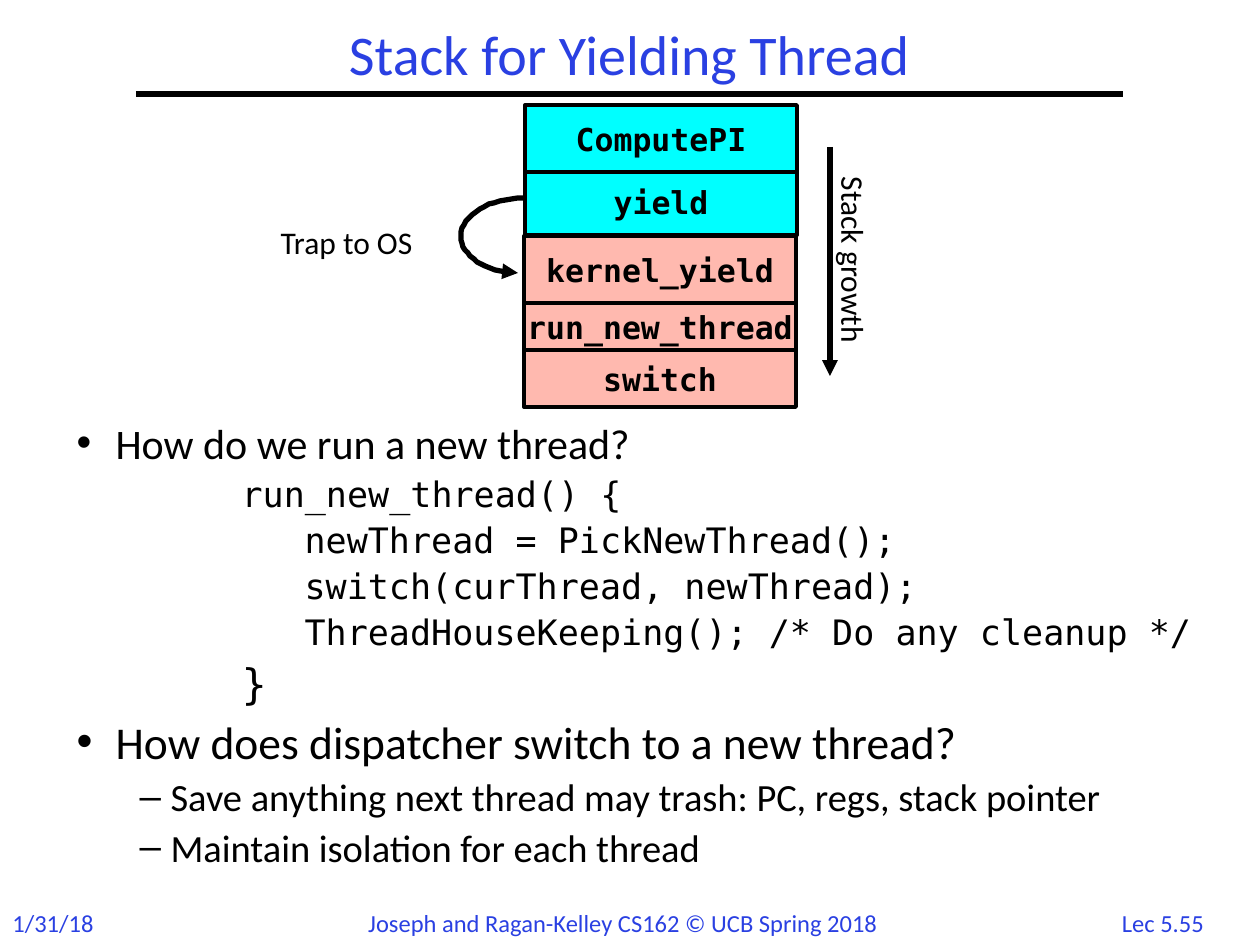
from dataclasses import dataclass

from pptx import Presentation
from pptx.dml.color import RGBColor
from pptx.enum.shapes import MSO_CONNECTOR, MSO_SHAPE
from pptx.enum.text import MSO_ANCHOR, MSO_AUTO_SIZE, PP_ALIGN
from pptx.oxml.ns import qn
from pptx.util import Emu, Pt
from lxml.etree import SubElement

PIXEL = 914400 // 126


@dataclass(frozen=True)
class Theme:
    """Colours, fonts and type sizes of the slide."""
    blue: str = "2A40E2"
    black: str = "000000"
    user_frame: str = "00FFFF"
    kernel_frame: str = "FFB9AF"
    sans: str = "Calibri"
    mono: str = "DejaVu Sans Mono"
    title: int = 32
    label: int = 18
    footer: int = 14
    rule: float = 3
    border: float = 2.25


THEME = Theme()

FRAMES = [  # name, left, top, height, fill
    ("yield", 525, 168, 67, THEME.user_frame),
    ("ComputePI", 525, 105, 67, THEME.user_frame),
    ("run_new_thread", 524, 303, 47, THEME.kernel_frame),
    ("kernel_yield", 524, 236, 67, THEME.kernel_frame),
    ("switch", 524, 350, 57, THEME.kernel_frame),
]

BODY = [  # text, font, size, level, left margin, hanging indent, bullet
    ("How do we run a new thread?", THEME.sans, 24, 0, 39, 39, "•"),
    ("run_new_thread() {", THEME.mono, 20, 0, 165, 0, None),
    ("newThread = PickNewThread();", THEME.mono, 20, 0, 228, 0, None),
    ("switch(curThread, newThread);", THEME.mono, 20, 0, 228, 0, None),
    ("ThreadHouseKeeping(); /* Do any cleanup */", THEME.mono, 20, 0, 228, 0, None),
    ("}", THEME.mono, 24, 0, 165, 0, None),
    ("How does dispatcher switch to a new thread?", THEME.sans, 26, 0, 39, 39, "•"),
    ("Save anything next thread may trash: PC, regs, stack pointer",
     THEME.sans, 22, 1, 94, 31, "–"),
    ("Maintain isolation for each thread", THEME.sans, 22, 1, 94, 31, "–"),
]


def px(*lengths):
    """Turn pixel lengths into EMU."""
    return [Emu(round(length * PIXEL)) for length in lengths]


def place(shape, box):
    """Move and size a shape to a pixel box."""
    shape.left, shape.top, shape.width, shape.height = px(*box)


def set_font(paragraph, name, size, color=THEME.black, bold=False):
    """Format a whole paragraph."""
    font = paragraph.font
    font.name, font.size, font.bold = name, Pt(size), bold
    font.color.rgb = RGBColor.from_string(color)


def set_bullet(paragraph, left, hanging, character):
    """Give a paragraph its indents and its bullet, if any."""
    properties = paragraph._p.get_or_add_pPr()
    margin, indent = px(left, -hanging)
    properties.set("marL", str(margin))
    properties.set("indent", str(indent))
    if character:
        SubElement(properties, qn("a:buFont"), typeface="Arial")
        SubElement(properties, qn("a:buChar"), char=character)
    else:
        SubElement(properties, qn("a:buNone"))


def style_line(line, width, arrow=False):
    """Colour a line and optionally end it in an arrowhead."""
    line.color.rgb = RGBColor.from_string(THEME.black)
    line.width = Pt(width)
    if arrow:
        SubElement(line._get_or_add_ln(), qn("a:tailEnd"), type="triangle")


def add_label(slide, text, box, size=THEME.label, color=THEME.black,
              align=PP_ALIGN.CENTER, rotation=0):
    """Add a one-line text box."""
    shape = slide.shapes.add_textbox(*px(*box))
    shape.rotation = rotation
    shape.text_frame.word_wrap = True
    paragraph = shape.text_frame.paragraphs[0]
    paragraph.text, paragraph.alignment = text, align
    set_font(paragraph, THEME.sans, size, color)


def add_line(slide, start, end, arrow=False):
    """Add a straight black line."""
    connector = slide.shapes.add_connector(
        MSO_CONNECTOR.STRAIGHT, *px(*start, *end))
    style_line(connector.line, THEME.rule, arrow)
    SubElement(connector._element.spPr, qn("a:effectLst"))


def add_frame(slide, name, left, top, height, fill):
    """Add one stack frame."""
    shape = slide.shapes.add_shape(
        MSO_SHAPE.RECTANGLE, *px(left, top, 272, height))
    shape.shadow.inherit = False
    shape.fill.solid()
    shape.fill.fore_color.rgb = RGBColor.from_string(fill)
    style_line(shape.line, THEME.border)
    frame = shape.text_frame
    frame.word_wrap, frame.vertical_anchor = False, MSO_ANCHOR.MIDDLE
    paragraph = frame.paragraphs[0]
    paragraph.text, paragraph.alignment = name, PP_ALIGN.CENTER
    set_font(paragraph, THEME.mono, THEME.label, bold=True)


def bezier(points, steps=16):
    """Return points along a cubic curve, without its start."""
    weights = [((1 - t) ** 3, 3 * t * (1 - t) ** 2, 3 * t * t * (1 - t), t ** 3)
               for t in (step / steps for step in range(1, steps + 1))]
    return [tuple(sum(w * p[axis] for w, p in zip(row, points)) for axis in (0, 1))
            for row in weights]


def add_trap_arrow(slide):
    """Add the curved arrow from user code into the kernel."""
    start, middle, end = (524, 198), (461, 236), (518, 273)
    curve = (bezier([start, (490, 198), middle[:1] + (215,), middle])
             + bezier([middle, (461, 256), (485, 272), end]))
    builder = slide.shapes.build_freeform(*start, scale=PIXEL)
    builder.add_line_segments(curve, close=False)
    shape = builder.convert_to_shape()
    shape.shadow.inherit = False
    shape.fill.background()
    style_line(shape.line, THEME.rule, arrow=True)


def fill_title(title):
    """Write and format the title."""
    place(title, (136, 21, 987, 73))
    title.text_frame.auto_size = MSO_AUTO_SIZE.NONE
    title.text_frame.vertical_anchor = MSO_ANCHOR.MIDDLE
    paragraph = title.text_frame.paragraphs[0]
    paragraph.text = "Stack for Yielding Thread"
    paragraph.alignment, paragraph.line_spacing = PP_ALIGN.CENTER, 0.9
    set_font(paragraph, THEME.sans, THEME.title, THEME.blue)


def fill_body(body):
    """Write the questions, the code and the answers."""
    place(body, (64, 421, 1196, 483))
    frame = body.text_frame
    frame.auto_size = MSO_AUTO_SIZE.NONE
    frame.text = "\n".join(row[0] for row in BODY)
    for paragraph, row in zip(frame.paragraphs, BODY):
        _, font, size, level, left, hanging, bullet = row
        paragraph.level, paragraph.line_spacing = level, 0.8
        paragraph.space_before = Pt(round(size * 0.36, 1))
        set_bullet(paragraph, left, hanging, bullet)
        set_font(paragraph, font, size)


def main():
    """Build and save the slide."""
    presentation = Presentation()
    presentation.slide_width, presentation.slide_height = px(1260, 945)
    slide = presentation.slides.add_slide(presentation.slide_layouts[1])
    fill_title(slide.shapes.title)
    fill_body(slide.placeholders[1])
    add_line(slide, (136, 94), (1123, 94))
    for text, box, align in [
            ("1/31/18", (0, 902, 110, 43), PP_ALIGN.LEFT),
            ("Joseph and Ragan-Kelley CS162 © UCB Spring 2018",
             (346, 902, 554, 43), PP_ALIGN.CENTER),
            ("Lec 5.55", (1100, 902, 126, 43), PP_ALIGN.CENTER)]:
        add_label(slide, text, box, THEME.footer, THEME.blue, align)
    for frame in FRAMES:
        add_frame(slide, *frame)
    add_label(slide, "Stack growth", (752, 235, 204, 50), rotation=90)
    add_line(slide, (830, 147), (830, 376), arrow=True)
    add_label(slide, "Trap to OS", (262, 217, 169, 50))
    add_trap_arrow(slide)
    presentation.save("out.pptx")


main()
